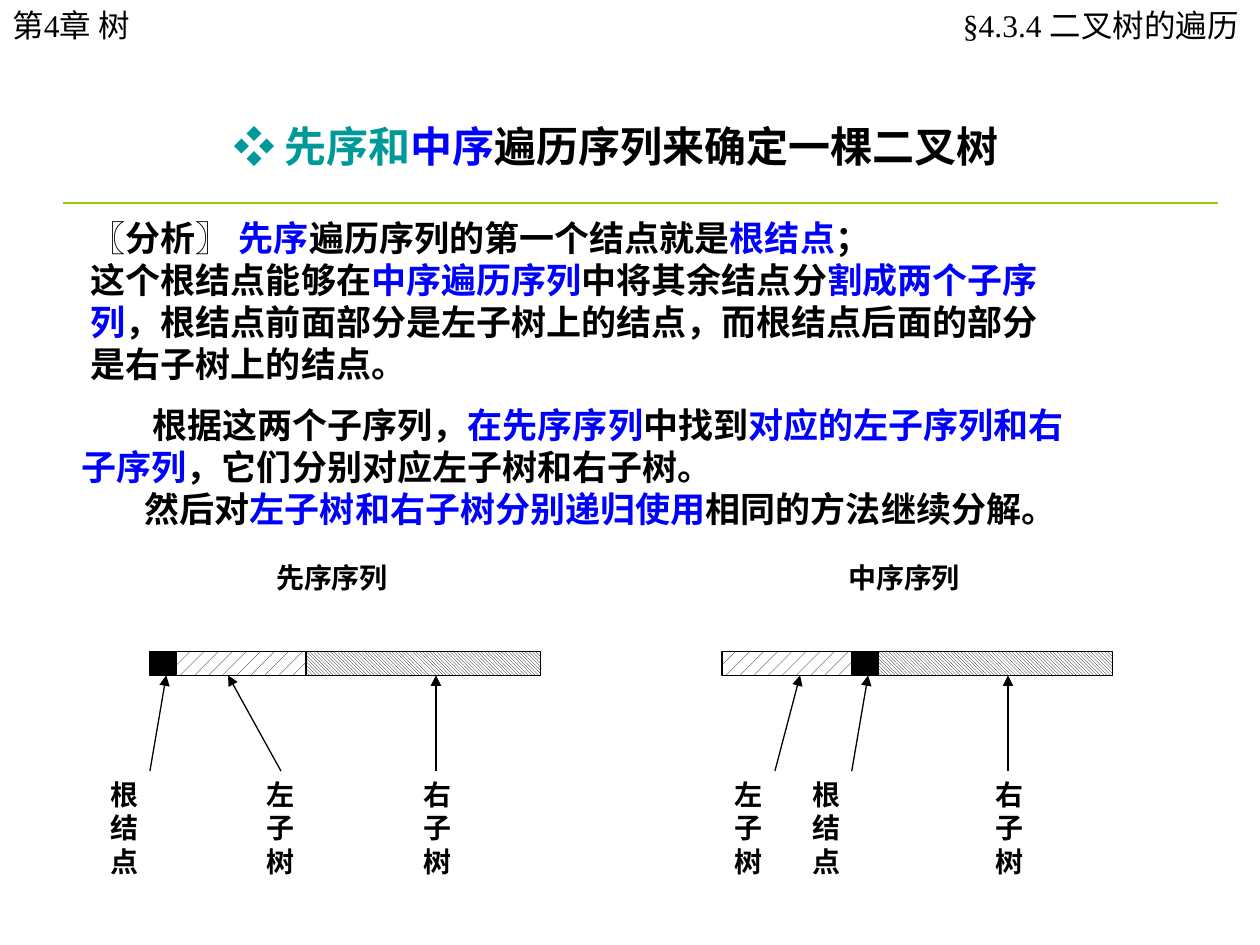
import pptx
import pptx.util
import pptx.dml.color
import pptx.oxml.ns
import pptx.enum.dml
import pptx.enum.lang
import pptx.enum.shapes
import pptx.enum.text
from lxml import etree

Inches, Pt = pptx.util.Inches, pptx.util.Pt
RGB = pptx.dml.color.RGBColor.from_string
ALIGN = pptx.enum.text.PP_ALIGN
PATTERN = pptx.enum.dml.MSO_PATTERN
qn = pptx.oxml.ns.qn


class Theme:
    black, white, blue, teal, green = "000000", "FFFFFF", "0000FF", "009999", "99CC00"
    head_font, text_font, label_font = "Times New Roman", "Arial", "Calibri"
    title, body, head, label = 24, 20, 18, 16
    rule, thin = 1.5, 0.75


# Content: a paragraph is a list of (text, colour) runs
K, B = Theme.black, Theme.blue
TITLE = [[("❖ 先序和", Theme.teal), ("中序", B), ("遍历序列来确定一棵二叉树", K)]]
CHAPTER = [[("第4章 树", K)]]
SECTION = [[("§4.3.4 二叉树的遍历", K)]]
ANALYSIS = [
    [("〖分析〗 ", K), ("先序", B), ("遍历序列的第一个结点就是", K), ("根结点", B), ("；", K)],
    [("这个根结点能够在", K), ("中序遍历序列", B), ("中将其余结点分", K), ("割成两个子序列", B),
     ("，根结点前面部分是左子树上的结点，而根结点后面的部分是右子树上的结点。", K)],
]
METHOD = [
    [("根据这两个子序列，", K), ("在先序序列", B), ("中找到", K), ("对应的左子序列和右子序列", B),
     ("，它们分别对应左子树和右子树。", K)],
    [("然后对", K), ("左子树和右子树分别递归使用", B), ("相同的方法继续分解。", K)],
]
# Segment name: (width, pattern or None for solid)
SEGMENTS = {
    "根结点": (0.21, None),
    "左子树": (1.03, PATTERN.PERCENT_10),
    "右子树": (1.86, PATTERN.LIGHT_DOWNWARD_DIAGONAL),
}
# Diagram: caption, left edge, then (segment, label x, arrow start x, arrow tip x) from that edge
DIAGRAMS = [
    ("先序序列", 1.19, [("根结点", -0.41, 0, 0.13), ("左子树", 0.83, 1.04, 0.62),
                     ("右子树", 2.07, 2.27, 2.27)]),
    ("中序序列", 5.73, [("左子树", 0, 0.42, 0.62), ("根结点", 0.62, 1.03, 1.16),
                     ("右子树", 2.07, 2.27, 2.27)]),
]
CAPTION_Y, BAR_Y, BAR_H, LABEL_Y = 4.4, 5.17, 0.19, 6.12


def write(sp, paragraphs, size, font, bold=True, align=ALIGN.LEFT, indents=(0, 0), wrap=True,
          margins=(0.1, 0.05, 0.1, 0.05)):
    tf = sp.text_frame
    tf.word_wrap = wrap
    tf.auto_size = pptx.enum.text.MSO_AUTO_SIZE.NONE
    tf.vertical_anchor = pptx.enum.text.MSO_ANCHOR.TOP
    tf.margin_left, tf.margin_top, tf.margin_right, tf.margin_bottom = map(Inches, margins)
    for i, runs in enumerate(paragraphs):
        p = tf.paragraphs[0] if i == 0 else tf.add_paragraph()
        p.alignment = align
        p.space_before = Pt(0)
        pPr = p._p.get_or_add_pPr()
        pPr.set("marL", "0")
        pPr.set("indent", str(Inches(indents[i])))
        etree.SubElement(pPr, qn("a:buNone"))
        for text, color in runs:
            r = p.add_run()
            r.text = text
            r.font.size, r.font.name, r.font.bold = Pt(size), font, bold
            r.font.color.rgb = RGB(color)
            r.font.language_id = pptx.enum.lang.MSO_LANGUAGE_ID.SIMPLIFIED_CHINESE


def place(sp, *box):
    sp.left, sp.top, sp.width, sp.height = map(Inches, box)
    return sp


def textbox(s, *box):
    return s.shapes.add_textbox(*map(Inches, box))


def line(s, x1, y1, x2, y2, color, width, arrow=False):
    cn = s.shapes.add_connector(pptx.enum.shapes.MSO_CONNECTOR.STRAIGHT,
                                *map(Inches, (x1, y1, x2, y2)))
    cn.line.color.rgb, cn.line.width = RGB(color), Pt(width)
    if arrow:
        etree.SubElement(cn.line._get_or_add_ln(), qn("a:tailEnd"), type="triangle")
    etree.SubElement(cn._element.spPr, qn("a:effectLst"))


def segment(s, x, width, pattern):
    sp = s.shapes.add_shape(pptx.enum.shapes.MSO_SHAPE.RECTANGLE,
                            *map(Inches, (x, BAR_Y, width, BAR_H)))
    sp.shadow.inherit = False
    if pattern is None:
        sp.fill.solid()
        sp.fill.fore_color.rgb = RGB(Theme.black)
    else:
        sp.fill.patterned()
        sp.fill.pattern = pattern
        sp.fill.fore_color.rgb, sp.fill.back_color.rgb = RGB(Theme.black), RGB(Theme.white)
    sp.line.color.rgb, sp.line.width = RGB(Theme.black), Pt(Theme.thin)


def diagram(s, caption, left, parts):
    write(textbox(s, left + 0.62, CAPTION_Y, 1.65, 0.57), [[(caption, K)]],
          Theme.label, Theme.label_font, align=ALIGN.CENTER)
    x = left
    for name, label_x, start_x, tip_x in parts:
        width, pattern = SEGMENTS[name]
        segment(s, x, width, pattern)
        x += width
        line(s, left + start_x, LABEL_Y, left + tip_x, BAR_Y + BAR_H,
             Theme.black, Theme.thin, arrow=True)
        # The narrow box stacks the label one character a line
        write(textbox(s, left + label_x, LABEL_Y, 0.62, 1.33), [[(name, K)]],
              Theme.label, Theme.label_font, align=ALIGN.JUSTIFY)


def main():
    prs = pptx.Presentation()
    prs.slide_width, prs.slide_height = Inches(10), Inches(7.5)
    s = prs.slides.add_slide(prs.slide_layouts[1])

    # Header, title and rule
    write(textbox(s, 0, 0, 2.09, 0.4), CHAPTER, Theme.head, Theme.head_font, bold=False)
    write(textbox(s, 6.18, 0, 3.81, 0.4), SECTION, Theme.head, Theme.head_font, bold=False,
          align=ALIGN.RIGHT, margins=(0.12, 0.05, 0.16, 0.05))
    write(place(s.shapes.title, 1.75, 0.91, 6.34, 0.5), TITLE, Theme.title, Theme.text_font,
          wrap=False)
    line(s, 0.5, 1.61, 9.67, 1.61, Theme.green, Theme.rule)

    # Explanation
    write(place(s.placeholders[1], 0.62, 1.67, 7.97, 1.45), ANALYSIS, Theme.body, Theme.text_font)
    write(textbox(s, 0.55, 3.15, 8.2, 1.11), METHOD, Theme.body, Theme.text_font,
          indents=(0.56, 0.5))

    # Sequence diagrams
    for caption, left, parts in DIAGRAMS:
        diagram(s, caption, left, parts)

    prs.save("out.pptx")


if __name__ == "__main__":
    main()
